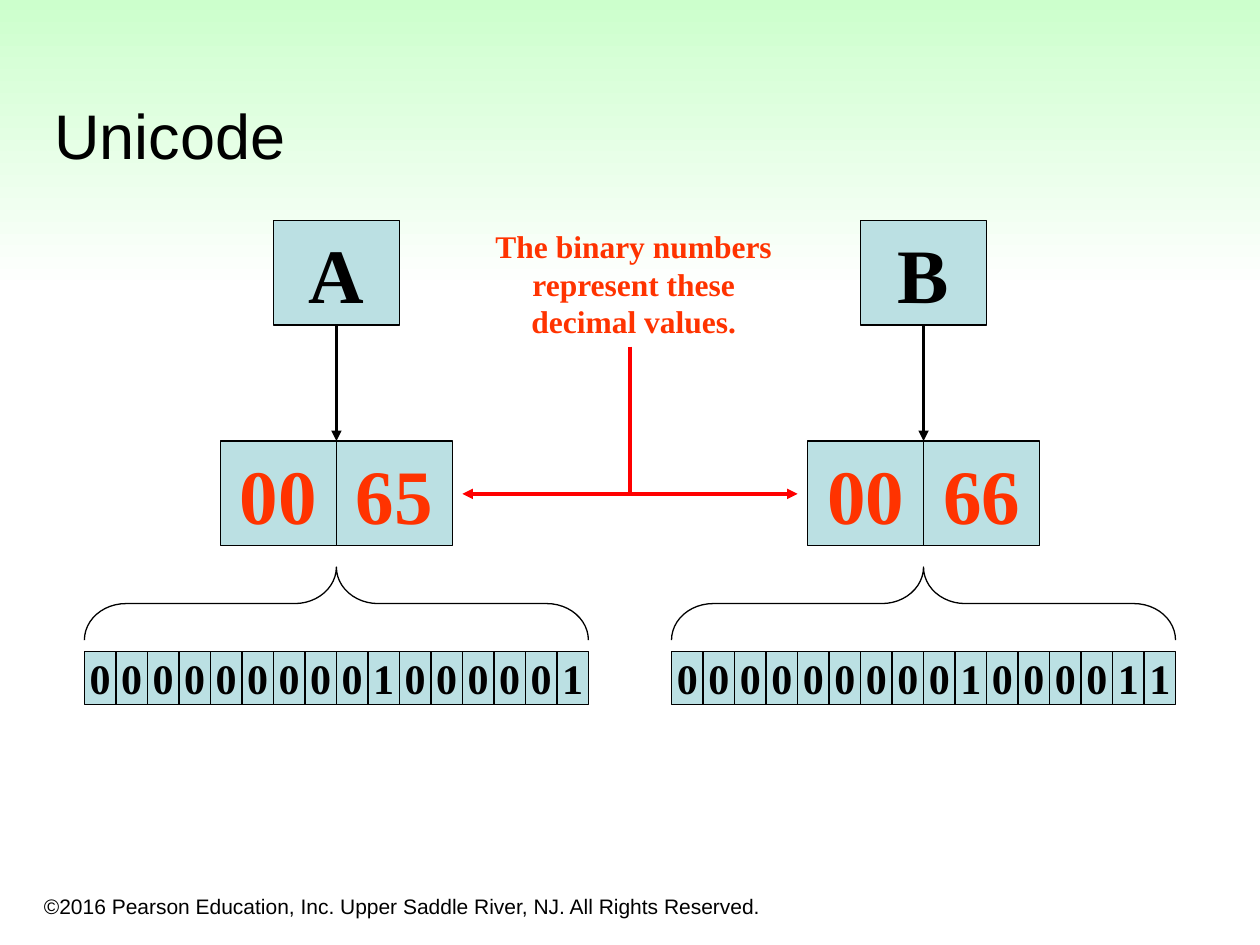
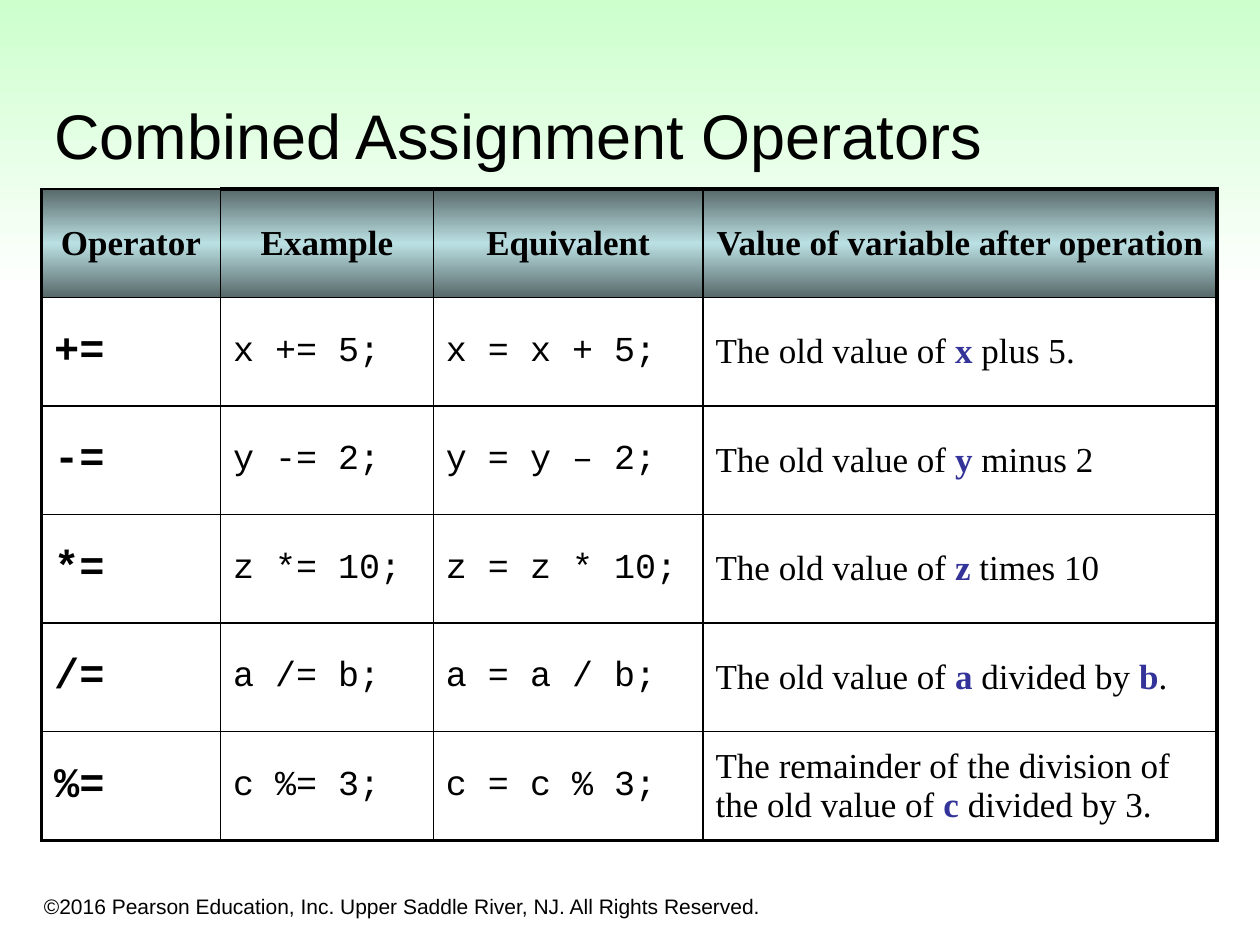
"""Build two programming slides: Unicode storage and combined assignment operators."""
from typing import Any, NamedTuple

from lxml.etree import SubElement as Sub
from pptx import Presentation
from pptx.dml.color import RGBColor as Rgb
from pptx.enum.shapes import MSO_CONNECTOR as Link, MSO_SHAPE as Shape
from pptx.enum.text import MSO_ANCHOR as Anchor, MSO_AUTO_SIZE as Fit, PP_ALIGN as Align
from pptx.oxml.ns import qn
from pptx.util import Inches, Pt

HUES = {
    "black": "000000", "white": "FFFFFF", "mint": "CCFFCC", "pale": "BBE0E3",
    "slate": "576869", "orange": "FF3300", "red": "FF0000", "blue": "333399",
}
SANS, SERIF, MONO = "Arial", "Times New Roman", "Courier New"
FOOTER = "©2016 Pearson Education, Inc. Upper Saddle River, NJ. All Rights Reserved."
BARE = {"margin_left": 0, "margin_right": 0, "margin_top": 0, "margin_bottom": 0,
        "word_wrap": False, "vertical_anchor": Anchor.MIDDLE}
THIN, THICK = 1, 2.25


class Style(NamedTuple):
    face: str
    size: float
    hue: str = "black"
    bold: bool = False


class Area(NamedTuple):
    left: float
    top: float
    width: float
    height: float


class Letter(NamedTuple):
    mid: float
    text: str
    code: tuple[str, str]
    bits: str


class Row(NamedTuple):
    sign: str
    sample: str
    equal: str
    value: str


TITLE = Style(SANS, 36)
SMALL = Style(SANS, 12)
GLYPH = Style(SERIF, 44, bold=True)
CODE = Style(SERIF, 44, "orange", True)
BIT = Style(SERIF, 24, bold=True)
NOTE = Style(SERIF, 18, "orange", True)
HEAD = Style(SERIF, 20, bold=True)
SIGN = Style(MONO, 24, bold=True)
LINE = Style(MONO, 20)
BODY = Style(SERIF, 20)
NAME = Style(SERIF, 20, "blue", True)

LETTERS = (
    Letter(2.67, "A", ("00", "65"), "0000000001000001"),
    Letter(7.33, "B", ("00", "66"), "0000000001000011"),
)
HEADS = Row("Operator", "Example", "Equivalent", "Value of variable after operation")
ROWS = (
    Row("+=", "x += 5;", "x = x + 5;", "The old value of |x| plus 5."),
    Row("-=", "y -= 2;", "y = y – 2;", "The old value of |y| minus 2"),
    Row("*=", "z *= 10;", "z = z * 10;", "The old value of |z| times 10"),
    Row("/=", "a /= b;", "a = a / b;", "The old value of |a| divided by |b|."),
    Row("%=", "c %= 3;", "c = c % 3;",
        "The remainder of the division of the old value of |c| divided by 3."),
)
WIDTHS = (1.42, 1.69, 2.14, 4.08)


def paint(hue: str) -> Rgb:
    """Return the named colour."""
    return Rgb.from_string(HUES[hue])


def put(item: Any, values: dict[str, Any]) -> None:
    """Set each attribute in values on item."""
    for key, value in values.items():
        setattr(item, key, value)


def inch(area: Area) -> list[Inches]:
    """Turn an area into lengths."""
    return [Inches(side) for side in area]


def write(para: Any, text: str, style: Style, align: Any = Align.LEFT) -> None:
    """Add text to a paragraph, with names between bars in bold blue."""
    para.alignment = align
    for i, part in enumerate(text.split("|")):
        look = NAME if i % 2 else style
        run = para.add_run()
        run.text = part
        put(run.font, {"name": look.face, "size": Pt(look.size), "bold": look.bold})
        run.font.color.rgb = paint(look.hue)


def shade(fill: Any, props: Any, hues: tuple[str, ...]) -> None:
    """Fill downward with evenly spaced colour stops."""
    fill.gradient()
    fill.gradient_angle = 270
    stops = props.find(".//" + qn("a:gsLst"))
    for stop in list(stops):
        stops.remove(stop)
    for i, hue in enumerate(hues):
        stop = Sub(stops, qn("a:gs"), pos=str(100000 * i // (len(hues) - 1)))
        Sub(stop, qn("a:srgbClr"), val=HUES[hue])


def draw_shape(slide: Any, kind: Any, area: Area) -> Any:
    """Add a shape with a thin black outline and no shadow."""
    shape = slide.shapes.add_shape(kind, *inch(area))
    shape.shadow.inherit = False
    shape.line.color.rgb = paint("black")
    shape.line.width = Pt(0.75)
    return shape


def draw_box(slide: Any, area: Area, text: str, style: Style) -> None:
    """Add a pale box with centred text."""
    box = draw_shape(slide, Shape.RECTANGLE, area)
    box.fill.solid()
    box.fill.fore_color.rgb = paint("pale")
    put(box.text_frame, BARE)
    write(box.text_frame.paragraphs[0], text, style, Align.CENTER)


def draw_line(slide: Any, start: tuple[float, float], end: tuple[float, float],
              hue: str, width: float, *tips: str) -> None:
    """Add a straight line with the given arrowheads."""
    line = slide.shapes.add_connector(Link.STRAIGHT, *map(Inches, start + end))
    line.line.color.rgb = paint(hue)
    line.line.width = Pt(width)
    props = line._element.spPr
    for tip in tips:
        Sub(props.find(qn("a:ln")), qn(f"a:{tip}"), type="triangle")
    Sub(props, qn("a:effectLst"))


def add_slide(deck: Any, title: str) -> Any:
    """Add a slide with the shared band, footer and title."""
    slide = deck.slides.add_slide(deck.slide_layouts[5])
    band = draw_shape(slide, Shape.RECTANGLE, Area(0, -0.01, 10, 2.33))
    band.line.fill.background()
    shade(band.fill, band._element.spPr, ("mint", "white"))
    slide.shapes._spTree.insert(2, band._element)

    foot = slide.shapes.add_textbox(*inch(Area(0.25, 6.92, 6.08, 0.42)))
    put(foot.text_frame, {"word_wrap": True, "vertical_anchor": Anchor.BOTTOM})
    write(foot.text_frame.paragraphs[0], FOOTER, SMALL)

    head = slide.shapes.title
    put(head, dict(zip(Area._fields, inch(Area(0.33, 0.33, 9.42, 1.09)))))
    put(head.text_frame, {"vertical_anchor": Anchor.BOTTOM, "auto_size": Fit.NONE})
    write(head.text_frame.paragraphs[0], title, TITLE)
    return slide


def draw_letter(slide: Any, letter: Letter) -> None:
    """Draw a letter, its decimal code and its bits."""
    mid = letter.mid
    draw_box(slide, Area(mid - 0.5, 1.75, 1, 0.83), letter.text, GLYPH)
    for i, part in enumerate(letter.code):
        draw_box(slide, Area(mid + 0.92 * (i - 1), 3.5, 0.92, 0.83), part, CODE)
    draw_line(slide, (mid, 2.58), (mid, 3.5), "black", 1.5, "tailEnd")
    brace = draw_shape(slide, Shape.RIGHT_BRACE, Area(mid - 0.29, 2.79, 0.58, 4))
    brace.rotation = 270
    brace.fill.background()
    brace.adjustments[0] = 0.57
    for i, bit in enumerate(letter.bits):
        draw_box(slide, Area(mid - 2 + 0.25 * i, 5.17, 0.25, 0.42), bit, BIT)


def draw_note(slide: Any) -> None:
    """Draw the note and the arrows to both codes."""
    note = slide.shapes.add_textbox(*inch(Area(3.83, 1.75, 2.4, 1)))
    frame = note.text_frame
    put(frame, {"word_wrap": False, "vertical_anchor": Anchor.MIDDLE})
    lines = ("The binary numbers", "represent these", "decimal values.")
    for i, text in enumerate(lines):
        para = frame.add_paragraph() if i else frame.paragraphs[0]
        write(para, text, NOTE, Align.CENTER)
    draw_line(slide, (5, 2.75), (5, 3.92), "red", 2)
    draw_line(slide, (3.67, 3.92), (6.33, 3.92), "red", 2, "headEnd", "tailEnd")


def edge(cell: Any, widths: dict[str, float]) -> None:
    """Give a cell black borders of the given widths."""
    props = cell._tc.get_or_add_tcPr()
    for side, width in widths.items():
        line = Sub(props, qn(f"a:ln{side}"), w=str(Pt(width)))
        Sub(Sub(line, qn("a:solidFill")), qn("a:srgbClr"), val=HUES["black"])


def draw_table(slide: Any) -> None:
    """Draw the table of operators."""
    grid = (HEADS, *ROWS)
    area = Area(0.33, 1.5, sum(WIDTHS), 5.17)
    table = slide.shapes.add_table(len(grid), len(WIDTHS), *inch(area)).table
    put(table, {"first_row": False, "horz_banding": False})
    for col, width in zip(table.columns, WIDTHS):
        col.width = Inches(width)
    for r, row in enumerate(grid):
        for c, text in enumerate(row):
            cell = table.cell(r, c)
            cell.vertical_anchor = Anchor.MIDDLE
            edge(cell, {
                "L": THIN if c else THICK,
                "R": THICK if c == len(WIDTHS) - 1 else THIN,
                "T": THICK if r == 0 and c else THIN,
                "B": THICK if r == len(ROWS) else THIN,
            })
            para = cell.text_frame.paragraphs[0]
            if r == 0:
                shade(cell.fill, cell._tc.tcPr, ("slate", "pale", "slate"))
                write(para, text, HEAD, Align.CENTER)
            else:
                cell.fill.background()
                write(para, text, (SIGN, LINE, LINE, BODY)[c])


def main() -> None:
    """Build and save the deck."""
    deck = Presentation()
    put(deck, {"slide_width": Inches(10), "slide_height": Inches(7.5)})
    slide = add_slide(deck, "Unicode")
    for letter in LETTERS:
        draw_letter(slide, letter)
    draw_note(slide)
    draw_table(add_slide(deck, "Combined Assignment Operators"))
    deck.save("out.pptx")


if __name__ == "__main__":
    main()
